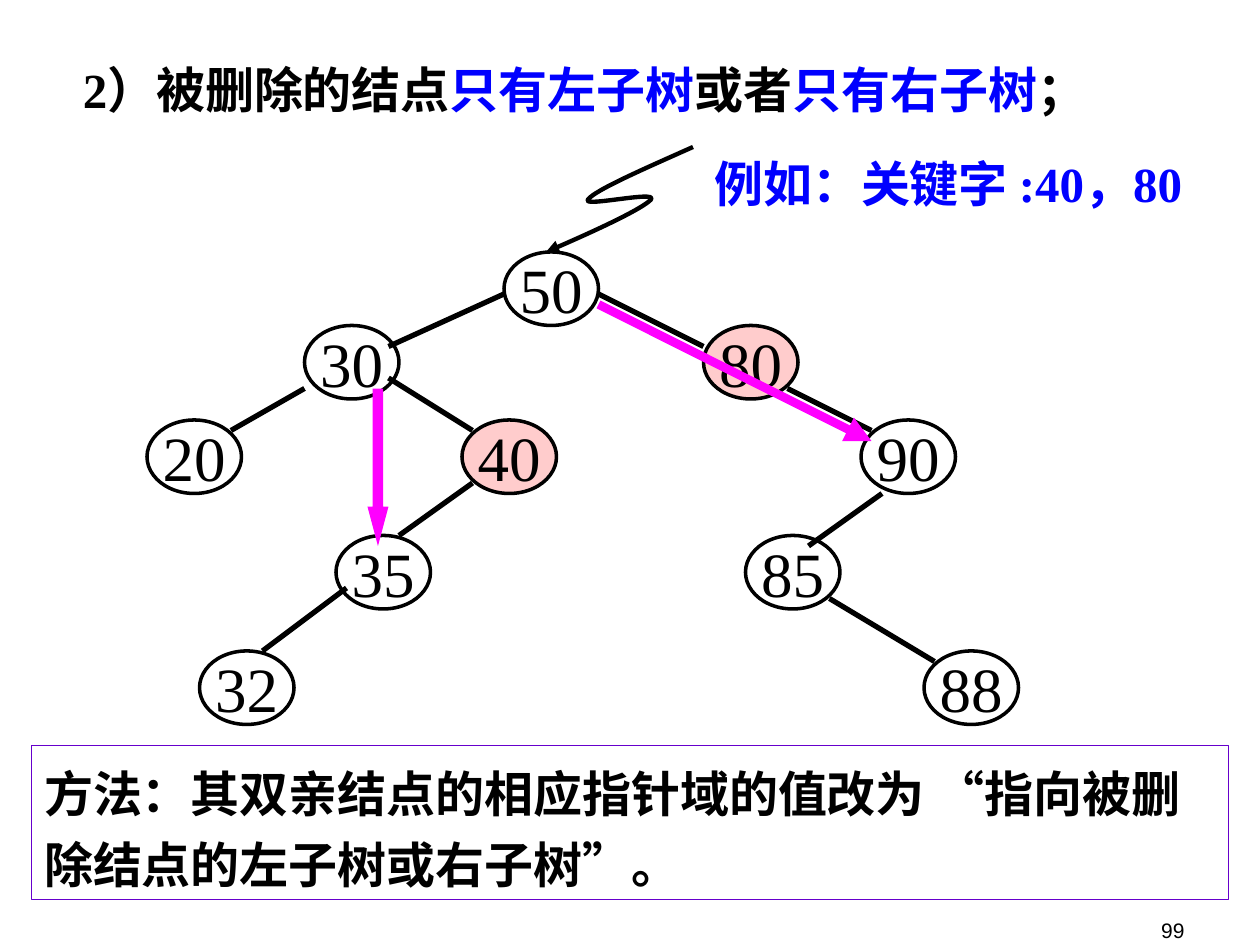
from dataclasses import dataclass

from lxml import etree
from pptx import Presentation
from pptx import util as u
from pptx.dml.color import RGBColor
from pptx.enum import shapes, text
from pptx.oxml import ns


@dataclass(frozen=True)
class Theme:
    black: str = "000000"
    blue: str = "0000FF"
    pink: str = "FFCCCC"
    magenta: str = "FF00FF"
    purple: str = "6600CC"
    serif: str = "Times New Roman"
    sans: str = "Arial"
    heading: int = 28
    key: int = 36
    small: int = 12


THEME = Theme()
NODE_SIZE = (9, 7)

# Node positions and edges in grid steps
NODES = {
    50: (48, 24), 30: (29, 31), 80: (67, 31), 20: (14, 40), 40: (44, 40),
    90: (82, 40), 35: (32, 51), 85: (71, 51), 32: (19, 62), 88: (88, 62),
}
DELETED = {40, 80}
EDGES = [
    (48, 28, 37, 33), (29, 37, 22, 41), (57, 28, 67, 33),
    (37, 36, 45, 41), (45, 46, 38, 51), (75, 37, 83, 41),
    (84, 47, 77, 52), (79, 57, 89, 63), (33, 56, 25, 62),
]
# Start point, then three points for each curve
SQUIGGLE = [
    (66, 14), (61.3, 16.1), (56.7, 18.1), (56, 19),
    (55.3, 19.8), (62.7, 18.1), (62, 19),
    (61.3, 19.8), (56.7, 22), (52, 24),
]


def grid(*steps):
    """Lengths on a grid of twelve steps to 2.54 cm."""
    return [u.Cm(2.54 * step / 12) for step in steps]


def apply(target, values):
    for name, value in values.items():
        setattr(target, name, value)


def place(shape, left, top, width, height):
    apply(shape, dict(zip(("left", "top", "width", "height"),
                          (u.Cm(n) for n in (left, top, width, height)))))


def paint(shape, fill=None, line=None, width=1):
    shape.shadow.inherit = False
    if fill:
        shape.fill.solid()
        shape.fill.fore_color.rgb = RGBColor.from_string(fill)
    else:
        shape.fill.background()
    if line:
        shape.line.color.rgb = RGBColor.from_string(line)
        shape.line.width = u.Pt(width)
    else:
        shape.line.fill.background()


def write(shape, runs, size, font=THEME.serif, bold=False,
          frame_format=None, paragraph_format=None):
    """Fill a shape with one paragraph of (words, colour) runs."""
    frame = shape.text_frame
    apply(frame, {
        "word_wrap": False, "auto_size": text.MSO_AUTO_SIZE.NONE,
        "vertical_anchor": text.MSO_ANCHOR.TOP,
        "margin_left": u.Cm(0.25), "margin_right": u.Cm(0.25),
        "margin_top": u.Cm(0.13), "margin_bottom": u.Cm(0.13),
        **(frame_format or {}),
    })
    paragraph = frame.paragraphs[0]
    apply(paragraph, {"alignment": text.PP_ALIGN.LEFT,
                      "space_before": u.Pt(0), **(paragraph_format or {})})
    for words, colour in runs:
        run = paragraph.add_run()
        run.text = words
        apply(run.font, {"size": u.Pt(size), "name": font, "bold": bold})
        run.font.color.rgb = RGBColor.from_string(colour)


def add_arrowhead(shape):
    line = shape.line._get_or_add_ln()
    etree.SubElement(line, ns.qn("a:tailEnd"), type="triangle")


def add_node(slide, key, position):
    node = slide.shapes.add_shape(shapes.MSO_SHAPE.OVAL,
                                  *grid(*position, *NODE_SIZE))
    paint(node, THEME.pink if key in DELETED else None, THEME.black, 2)
    write(node, [(str(key), THEME.black)], THEME.key,
          frame_format={"vertical_anchor": text.MSO_ANCHOR.MIDDLE},
          paragraph_format={"alignment": text.PP_ALIGN.CENTER})


def add_line(slide, ends, colour, width, arrow=False):
    line = slide.shapes.add_connector(shapes.MSO_CONNECTOR.STRAIGHT, *grid(*ends))
    line.line.color.rgb = RGBColor.from_string(colour)
    line.line.width = u.Pt(width)
    if arrow:
        add_arrowhead(line)
    etree.SubElement(line._element.spPr, ns.qn("a:effectLst"))


def add_curve(slide, points):
    """Draw a line through the points, then join them by threes as curves."""
    start, *rest = [grid(*point) for point in points]
    builder = slide.shapes.build_freeform(*start)
    builder.add_line_segments(rest, close=False)
    curve = builder.convert_to_shape()
    segments = list(curve._element.iter(ns.qn("a:lnTo")))
    outline = segments[0].getparent()
    for first in range(0, len(segments), 3):
        bezier = etree.SubElement(outline, ns.qn("a:cubicBezTo"))
        for segment in segments[first:first + 3]:
            bezier.append(segment[0])
            outline.remove(segment)
    paint(curve, line=THEME.black, width=2.5)
    add_arrowhead(curve)


def add_label(slide, box, runs, size, **formats):
    label = slide.shapes.add_textbox(*(u.Cm(n) for n in box))
    write(label, runs, size, **formats)


def add_title(slide):
    title = slide.shapes.title
    place(title, 1.42, 1.07, 20.96, 1.45)
    write(title, [("2）被删除的结点", THEME.black), ("只有左子树", THEME.blue),
                  ("或者", THEME.black), ("只有右子树", THEME.blue),
                  ("；", THEME.black)], THEME.heading, bold=True)


def add_method(slide):
    body = slide.placeholders[1]
    place(body, 0.64, 15.03, 24.13, 3.1)
    paint(body, line=THEME.purple, width=0.75)
    properties = body.text_frame.paragraphs[0]._p.get_or_add_pPr()
    properties.set("marL", "0")
    properties.set("indent", "0")
    etree.SubElement(properties, ns.qn("a:buNone"))
    write(body, [("方法：其双亲结点的相应指针域的值改为 “指向被删除结点的左子树或右子树”。",
                  THEME.black)], THEME.heading, bold=True,
          frame_format={"word_wrap": True},
          paragraph_format={"line_spacing": 1.2})


def add_tree(slide):
    for key, position in NODES.items():
        add_node(slide, key, position)
    for ends in EDGES:
        add_line(slide, ends, THEME.black, 3)
    add_curve(slide, SQUIGGLE)


def add_new_pointers(slide):
    arrow = slide.shapes.add_shape(shapes.MSO_SHAPE.DOWN_ARROW,
                                   *grid(35, 37, 2, 15))
    arrow.adjustments[0] = 0.5
    arrow.adjustments[1] = 1.87
    paint(arrow, THEME.magenta)
    add_line(slide, (57, 29, 83, 42), THEME.magenta, 5, arrow=True)


def main():
    presentation = Presentation()
    presentation.slide_width, presentation.slide_height = u.Cm(25.4), u.Cm(19.05)
    slide = presentation.slides.add_slide(presentation.slide_layouts[1])

    # Heading and example
    add_title(slide)
    add_label(slide, (14.15, 2.97, 10.92, 1.45),
              [("例如：关键字 :40，80", THEME.blue)], THEME.heading, bold=True)

    # Search tree and the pointers that replace the deleted nodes
    add_tree(slide)
    add_new_pointers(slide)

    # Method and page number
    add_method(slide)
    add_label(slide, (18.21, 17.86, 5.92, 1.27), [("99", THEME.black)],
              THEME.small, font=THEME.sans,
              frame_format={"word_wrap": True,
                            "vertical_anchor": text.MSO_ANCHOR.BOTTOM},
              paragraph_format={"alignment": text.PP_ALIGN.RIGHT})

    presentation.save("out.pptx")


if __name__ == "__main__":
    main()
